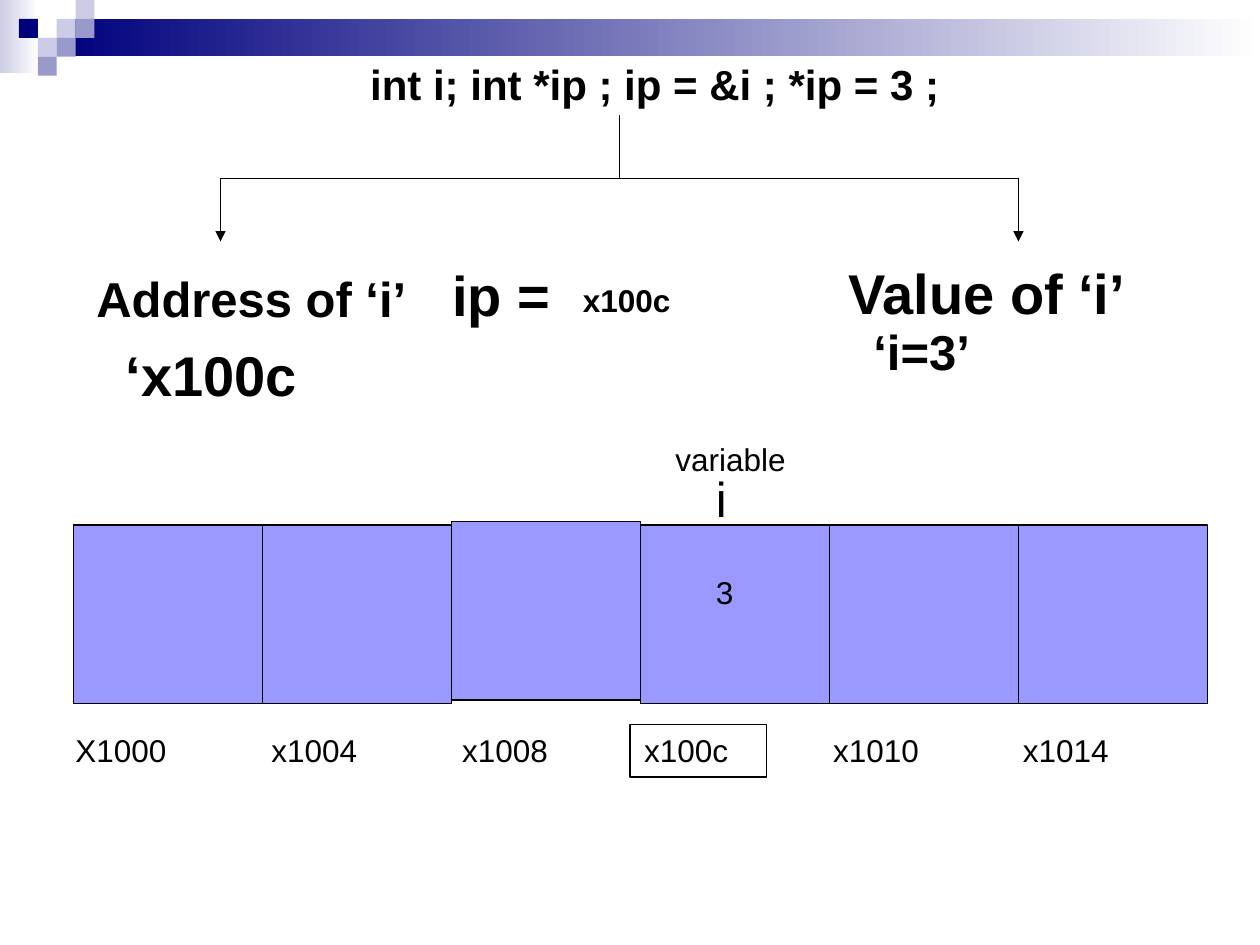
from dataclasses import dataclass

from lxml.etree import SubElement
from pptx import Presentation
from pptx.dml.color import RGBColor
from pptx.enum.shapes import MSO_CONNECTOR, MSO_SHAPE
from pptx.enum.text import PP_ALIGN
from pptx.oxml.ns import qn
from pptx.util import Pt


@dataclass(frozen=True)
class Theme:
    font: str = "Arial"
    ink: str = "000000"
    white: str = "FFFFFF"
    navy: str = "00007D"
    lavender: str = "CCCCE6"
    violet: str = "9999CC"
    memory: str = "9999FF"
    label: int = 18
    code: int = 24
    subheading: int = 28
    heading: int = 32
    stroke: float = 0.75


class SlideBuilder:
    def __init__(self, slide, theme):
        self.slide = slide
        self.theme = theme

    def rectangle(self, left, top, width, height, fill=None, outlined=False):
        shape = self.slide.shapes.add_shape(
            MSO_SHAPE.RECTANGLE, Pt(left), Pt(top), Pt(width), Pt(height))
        shape.shadow.inherit = False
        if fill:
            shape.fill.solid()
            shape.fill.fore_color.rgb = RGBColor.from_string(fill)
        else:
            shape.fill.background()
        if outlined:
            shape.line.color.rgb = RGBColor.from_string(self.theme.ink)
            shape.line.width = Pt(self.theme.stroke)
        else:
            shape.line.fill.background()
        return shape

    def fading_rectangle(self, left, top, width, height, color):
        fill = self.rectangle(left, top, width, height).fill
        fill.gradient()
        fill.gradient_angle = 0
        for stop, value in zip(fill.gradient_stops, (color, self.theme.white)):
            stop.color.rgb = RGBColor.from_string(value)

    def line(self, start, end, arrow=False):
        connector = self.slide.shapes.add_connector(
            MSO_CONNECTOR.STRAIGHT, *(Pt(value) for value in (*start, *end)))
        connector.line.color.rgb = RGBColor.from_string(self.theme.ink)
        connector.line.width = Pt(self.theme.stroke)
        properties = connector._element.spPr
        SubElement(properties, qn("a:effectLst"))
        if arrow:
            SubElement(properties.find(qn("a:ln")), qn("a:tailEnd"), type="triangle")

    def text(self, left, top, width, height, content, size, bold=False,
             align=PP_ALIGN.LEFT, tabs=()):
        box = self.slide.shapes.add_textbox(Pt(left), Pt(top), Pt(width), Pt(height))
        box.text_frame.word_wrap = True
        paragraph = box.text_frame.paragraphs[0]
        paragraph.alignment = align
        if tabs:
            tab_list = SubElement(paragraph._p.get_or_add_pPr(), qn("a:tabLst"))
            for position in tabs:
                SubElement(tab_list, qn("a:tab"), pos=str(Pt(position)), algn="l")
        run = paragraph.add_run()
        run.text = content
        run.font.name = self.theme.font
        run.font.size = Pt(size)
        run.font.bold = bold
        run.font.color.rgb = RGBColor.from_string(self.theme.ink)


def add_banner(builder):
    theme = builder.theme
    builder.fading_rectangle(0, 0, 22, 42, theme.lavender)
    builder.fading_rectangle(32.4, 10.8, 687.6, 21.4, theme.navy)
    squares = (
        (3, 1, theme.lavender), (4, 0, theme.lavender), (4, 1, theme.violet),
        (2, 2, theme.lavender), (1, 1, theme.navy), (3, 2, theme.violet),
        (2, 3, theme.violet),
    )
    side = 10.8
    for column, row, color in squares:
        builder.rectangle(column * side, row * side, side, side, color)


def add_branches(builder):
    left, middle, right = 126, 354, 582
    top, fork, bottom = 66, 102, 138
    builder.line((left, fork), (right, fork))
    builder.line((middle, top), (middle, fork))
    for x in (left, right):
        builder.line((x, fork), (x, bottom), arrow=True)


def add_memory(builder):
    theme = builder.theme
    cell_width, cell_height = 108, 102
    cell_tops = (300, 300, 298, 300, 300, 300)
    for index in (0, 1, 3, 4, 5, 2):
        builder.rectangle(42 + index * cell_width, cell_tops[index],
                          cell_width, cell_height, theme.memory, outlined=True)
    addresses = ("X1000", "x1004", "x1008", "x100c", "x1010", "x1014")
    builder.text(36, 414, 654, 29, "\t".join(addresses), theme.label,
                 tabs=(112, 221, 325, 433, 541.5))
    builder.rectangle(360, 414, 78, 30, outlined=True)
    builder.text(360, 248, 96, 29, "variable", theme.label, align=PP_ALIGN.RIGHT)
    builder.text(402, 264, 78, 41, "i", theme.subheading)
    builder.text(402, 324, 36, 29, "3", theme.label)


def add_statements(builder):
    theme = builder.theme
    builder.text(204.5, 30, 354, 37, "int i; int *ip ; ip = &i ; *ip = 3 ;",
                 theme.code, bold=True)
    builder.text(48, 150, 216, 41, "Address of ‘i’", theme.subheading, bold=True)
    builder.text(64.8, 191, 125, 45, "‘x100c", theme.heading, bold=True)
    builder.text(247, 145.5, 79, 45, "ip =", theme.heading, bold=True,
                 align=PP_ALIGN.CENTER)
    builder.text(326, 157, 70, 29, "x100c", theme.label, bold=True)
    builder.text(414, 144, 300, 45, "Value of ‘i’", theme.heading, bold=True,
                 align=PP_ALIGN.CENTER)
    builder.text(492, 180, 138, 41, "‘i=3’", theme.subheading, bold=True)


def main():
    presentation = Presentation()
    presentation.slide_width = Pt(720)
    presentation.slide_height = Pt(540)
    slide = presentation.slides.add_slide(presentation.slide_layouts[6])
    builder = SlideBuilder(slide, Theme())
    add_banner(builder)
    add_branches(builder)
    add_memory(builder)
    add_statements(builder)
    presentation.save("out.pptx")


if __name__ == "__main__":
    main()
